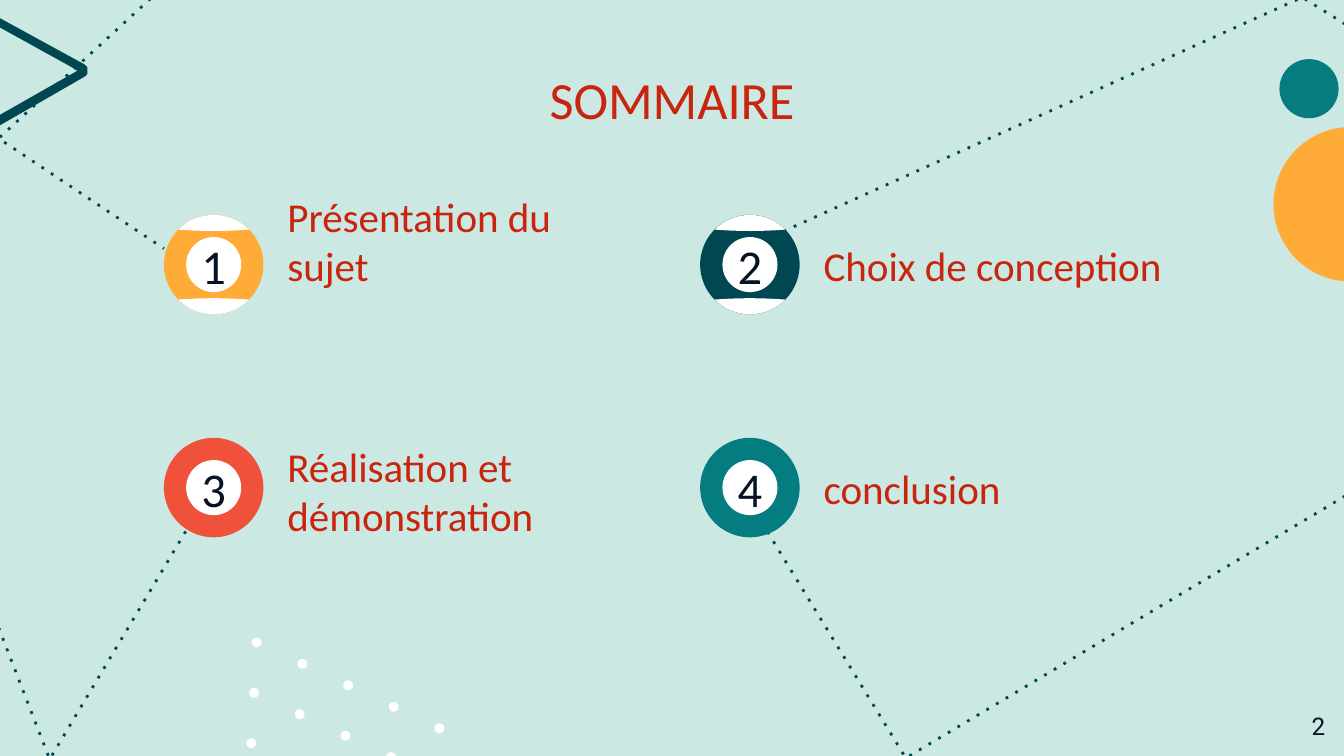
from dataclasses import dataclass
from math import cos, radians, sin

from pptx import Presentation
from pptx.dml.color import RGBColor
from pptx.enum.dml import MSO_LINE
from pptx.enum.shapes import MSO_SHAPE
from pptx.enum.text import MSO_ANCHOR, MSO_AUTO_SIZE, PP_ALIGN
from pptx.util import Inches, Pt

ELLIPSE = MSO_SHAPE.OVAL
DOTTED = MSO_LINE.ROUND_DOT
TOP, MIDDLE, BOTTOM = MSO_ANCHOR.TOP, MSO_ANCHOR.MIDDLE, MSO_ANCHOR.BOTTOM
LEFT, CENTER, RIGHT = PP_ALIGN.LEFT, PP_ALIGN.CENTER, PP_ALIGN.RIGHT
FIXED_SIZE = MSO_AUTO_SIZE.NONE


@dataclass(frozen=True)
class Theme:
    mint: str = "CCE8E3"
    navy: str = "004752"
    teal: str = "057D80"
    orange: str = "FFAB37"
    coral: str = "F0513B"
    white: str = "FFFFFF"
    red: str = "C9240D"
    ink: str = "071224"
    font: str = "Calibri"
    page_font: str = "Roboto"
    title_size: int = 28
    number_size: int = 26
    label_size: int = 22
    page_size: int = 13


theme = Theme()
WIDTH = 10
HEIGHT = WIDTH * 9 / 16
COLUMNS = (0.159 * WIDTH, 0.558 * WIDTH)
ROWS = (0.35 * HEIGHT, 0.645 * HEIGHT)
BADGE_RADIUS, HOLE_RADIUS = 0.37, 0.205

presentation = Presentation()
presentation.slide_width = Inches(WIDTH)
presentation.slide_height = Inches(HEIGHT)
slide = presentation.slides.add_slide(presentation.slide_layouts[5])
slide.background.fill.solid()
slide.background.fill.fore_color.rgb = RGBColor.from_string(theme.mint)


def trace(contours, close=True):
    """Build one freeform from contours of points given in inches."""
    contours = [[(Inches(x), Inches(y)) for x, y in contour] for contour in contours]
    builder = slide.shapes.build_freeform(*contours[0][0])
    for contour in contours:
        if contour is not contours[0]:
            builder.move_to(*contour[0])
        builder.add_line_segments(contour[1:], close=close)
    return builder.convert_to_shape()


def write(shape, box, text, size, color, align, anchor, font=theme.font):
    """Place a text shape in its box and set its only paragraph."""
    shape.left, shape.top, shape.width, shape.height = map(Inches, box)
    frame = shape.text_frame
    frame.text = text
    frame.word_wrap = True
    frame.auto_size = FIXED_SIZE
    frame.vertical_anchor = anchor
    frame.margin_left = frame.margin_right = Inches(0.1)
    frame.margin_top = frame.margin_bottom = Inches(0.1)
    paragraph = frame.paragraphs[0]
    paragraph.alignment = align
    run_font = paragraph.runs[0].font
    run_font.name = font
    run_font.size = Pt(size)
    run_font.color.rgb = RGBColor.from_string(color)


# Dotted lines running from the slide's edges to the badges
dotted_lines = [
    [(1.12, -0.01), (-0.01, 1.03), (1.22, 1.85)],
    [(10.01, 0.18), (9.69, -0.02), (5.81, 1.73)],
    [(-0.01, 4.67), (0.37, 5.65), (1.42, 3.89)],
    [(10.01, 3.69), (6.74, 5.64), (5.67, 3.89)],
]
for points in dotted_lines:
    polyline = trace([points], close=False)
    polyline.shadow.inherit = False
    polyline.fill.background()
    polyline.line.color.rgb = RGBColor.from_string(theme.navy)
    polyline.line.width = Pt(1.5)
    polyline.line.dash_style = DOTTED
    polyline.element.xpath("./p:spPr/a:ln/a:prstDash")[0].set("val", "dot")

# Hollow triangle in the corner
outer = [(-0.54, -0.16), (0.63, 0.48), (0.65, 0.5), (0.65, 0.55), (0.63, 0.57),
         (-0.57, 1.26), (-0.62, 1.26), (-0.64, 1.22), (-0.62, -0.11), (-0.59, -0.16)]
inner = [(-0.55, -0.1), (-0.59, 1.19), (0.57, 0.53), (0.57, 0.52)]
filled_shapes = [(trace([outer, inner]), theme.navy)]

# Circles as centre, radius and colour: slanted dot grid, edge circles, badges
circles = []
for row, count in enumerate((5, 4, 1)):
    for column in range(count):
        center = (1.91 + 0.34 * column - 0.02 * row, 4.78 + 0.16 * column + 0.375 * row)
        circles.append((*center, 0.037, theme.white))
circles += [(10.05, 1.52, 0.575, theme.orange), (9.74, 0.66, 0.22, theme.teal)]

badge_centers = [(x, y) for y in ROWS for x in COLUMNS]
badge_colors = [theme.orange, theme.navy, theme.coral, theme.teal]
for (x, y), color in zip(badge_centers, badge_colors):
    circles += [(x, y, BADGE_RADIUS, color), (x, y, HOLE_RADIUS, theme.white)]

for x, y, radius, color in circles:
    box = (x - radius, y - radius, 2 * radius, 2 * radius)
    filled_shapes.append((slide.shapes.add_shape(ELLIPSE, *map(Inches, box)), color))

# White caps above and below the holes of the first row
for x, y in badge_centers[:2]:
    for side in (-1, 1):
        rim = [(x + BADGE_RADIUS * cos(radians(angle)),
                y + side * BADGE_RADIUS * sin(radians(angle)))
               for angle in range(45, 136, 5)]
        bulge = [(x + 0.26 * step / 5, y + side * (0.25 + 0.01 * (step / 5) ** 2))
                 for step in range(-5, 6)]
        filled_shapes.append((trace([rim + bulge]), theme.white))

for shape, color in filled_shapes:
    shape.shadow.inherit = False
    shape.fill.solid()
    shape.fill.fore_color.rgb = RGBColor.from_string(color)
    shape.line.fill.background()

# Texts
write(slide.shapes.title, (WIDTH / 12, 0.42, WIDTH * 10 / 12, 0.63), "SOMMAIRE",
      theme.title_size, theme.red, CENTER, MIDDLE)

# Label, width, height and distance from the badge's centre to the box's bottom
labels = [
    ("Présentation du sujet", 2.83, 0.58, 0.29),
    ("Choix de conception", 2.83, 0.58, 0.29),
    ("Réalisation et démonstration", 3.14, 0.99, 0.49),
    ("conclusion", 2.83, 0.58, 0.29),
]
for number, ((x, y), (label, width, height, drop)) in enumerate(zip(badge_centers, labels), 1):
    write(slide.shapes.add_textbox(0, 0, 0, 0), (x - 0.3, y - 0.29, 0.6, 0.58),
          str(number), theme.number_size, theme.ink, CENTER, MIDDLE)
    write(slide.shapes.add_textbox(0, 0, 0, 0), (x + 0.45, y + drop - height, width, height),
          label, theme.label_size, theme.red, LEFT, BOTTOM)

write(slide.shapes.add_textbox(0, 0, 0, 0), (9.36, 5.19, 0.6, 0.43), "2",
      theme.page_size, theme.ink, RIGHT, TOP, theme.page_font)

presentation.save("out.pptx")
